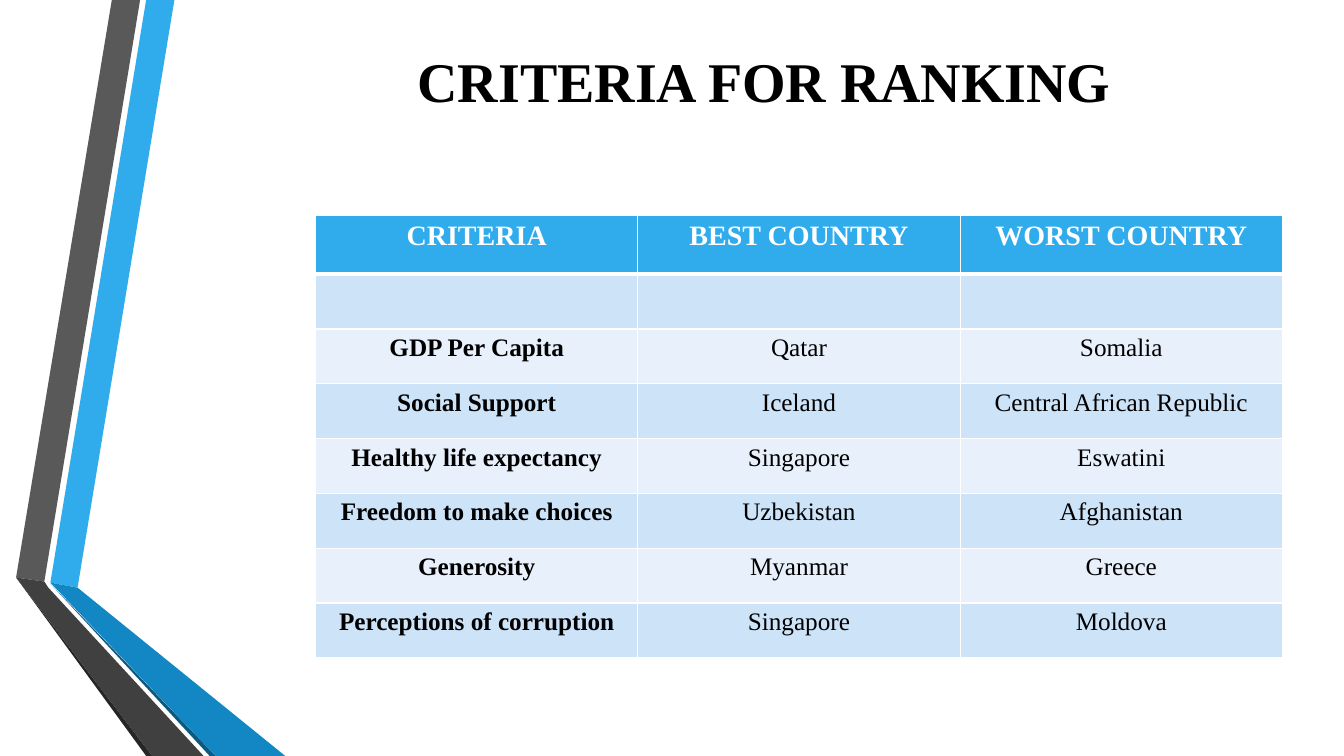
from pptx import Presentation
from pptx.dml.color import RGBColor as RGB
from pptx.enum.text import MSO_ANCHOR as Anchor, PP_ALIGN as Align
from pptx.oxml.ns import qn
from pptx.util import Inches, Pt
from lxml.etree import SubElement as Sub

FONT = "Times New Roman"
TITLE = "CRITERIA FOR RANKING"
ROWS = [
    ("CRITERIA", "BEST COUNTRY", "WORST COUNTRY"),
    ("", "", ""),
    ("GDP Per Capita", "Qatar", "Somalia"),
    ("Social Support", "Iceland", "Central African Republic"),
    ("Healthy life expectancy", "Singapore", "Eswatini"),
    ("Freedom to make choices", "Uzbekistan", "Afghanistan"),
    ("Generosity", "Myanmar", "Greece"),
    ("Perceptions of corruption", "Singapore", "Moldova"),
]
COLORS = {
    "black": "000000", "white": "FFFFFF",
    "sky": "30ACEC", "blue": "1287C3", "navy": "0C5A82",
    "gray": "595959", "dark": "404040", "coal": "262626",
    "band": "CDE3F8", "pale": "E8F1FB",
}
RIBBONS = [
    ("sky", [(0.5, 5.78), (0.77, 5.83), (1.73, 0), (1.45, 0)]),
    ("gray", [(1.39, 0), (1.11, 0), (0.16, 5.73), (0.44, 5.77)]),
    ("coal", [(0.16, 5.73), (1.45, 7.5), (1.51, 7.5)]),
    ("navy", [(0.5, 5.79), (2.08, 7.5), (2.14, 7.5)]),
    ("blue", [(0.5, 5.78), (2.14, 7.5), (2.83, 7.5), (0.77, 5.83)]),
    ("dark", [(2.02, 7.5), (0.48, 5.83), (0.44, 5.77), (0.16, 5.73), (1.51, 7.5)]),
]
LEFT, TOP, WIDTH = 3.13, 2.14, 9.59
HEAD, ROW = 0.58, 0.544


def color(name):
    return RGB.from_string(COLORS[name])


def paint(part, name):
    part.fill.solid()
    part.fill.fore_color.rgb = color(name)


def write(frame, text, size, bold, tint):
    para = frame.paragraphs[0]
    para.alignment = Align.CENTER
    if text:
        run = para.add_run()
        run.text = text
        font = run.font
        font.name, font.size, font.bold = FONT, Pt(size), bold
        font.color.rgb = color(tint)


def ribbon(slide, name, points):
    spots = [(Inches(x), Inches(y)) for x, y in points]
    build = slide.shapes.build_freeform(*spots[0])
    build.add_line_segments(spots[1:], close=True)
    shape = build.convert_to_shape()
    shape.shadow.inherit = False
    paint(shape, name)
    shape.line.fill.background()


def border(cell, row):
    props = cell._tc.get_or_add_tcPr()
    thick = {"B": 0, "T": 1}
    for side in "LRTB":
        width = 3 if thick.get(side) == row else 1
        line = Sub(props, qn(f"a:ln{side}"), w=str(Pt(width)))
        fill = Sub(line, qn("a:solidFill"))
        Sub(fill, qn("a:srgbClr"), val=COLORS["white"])


def grid(slide):
    count = len(ROWS[0])
    high = HEAD + ROW * (len(ROWS) - 1)
    table = slide.shapes.add_table(
        len(ROWS), count, Inches(LEFT), Inches(TOP), Inches(WIDTH), Inches(high)
    ).table
    for col in table.columns:
        col.width = Inches(WIDTH / count)
    for r, words in enumerate(ROWS):
        head = r == 0
        table.rows[r].height = Inches(HEAD if head else ROW)
        for c, text in enumerate(words):
            cell = table.cell(r, c)
            border(cell, r)
            paint(cell, "sky" if head else "band" if r % 2 else "pale")
            write(cell.text_frame, text, 20 if head else 18,
                  head or c == 0, "white" if head else "black")


def main():
    deck = Presentation()
    deck.slide_width, deck.slide_height = Inches(13.33), Inches(7.5)
    slide = deck.slides.add_slide(deck.slide_layouts[6])
    for name, points in RIBBONS:
        ribbon(slide, name, points)
    box = slide.shapes.add_textbox(Inches(2.1), Inches(0.25), Inches(10.96), Inches(1.08))
    frame = box.text_frame
    frame.word_wrap = True
    frame.vertical_anchor = Anchor.MIDDLE
    write(frame, TITLE, 40, True, "black")
    grid(slide)
    deck.save("out.pptx")


if __name__ == "__main__":
    main()
